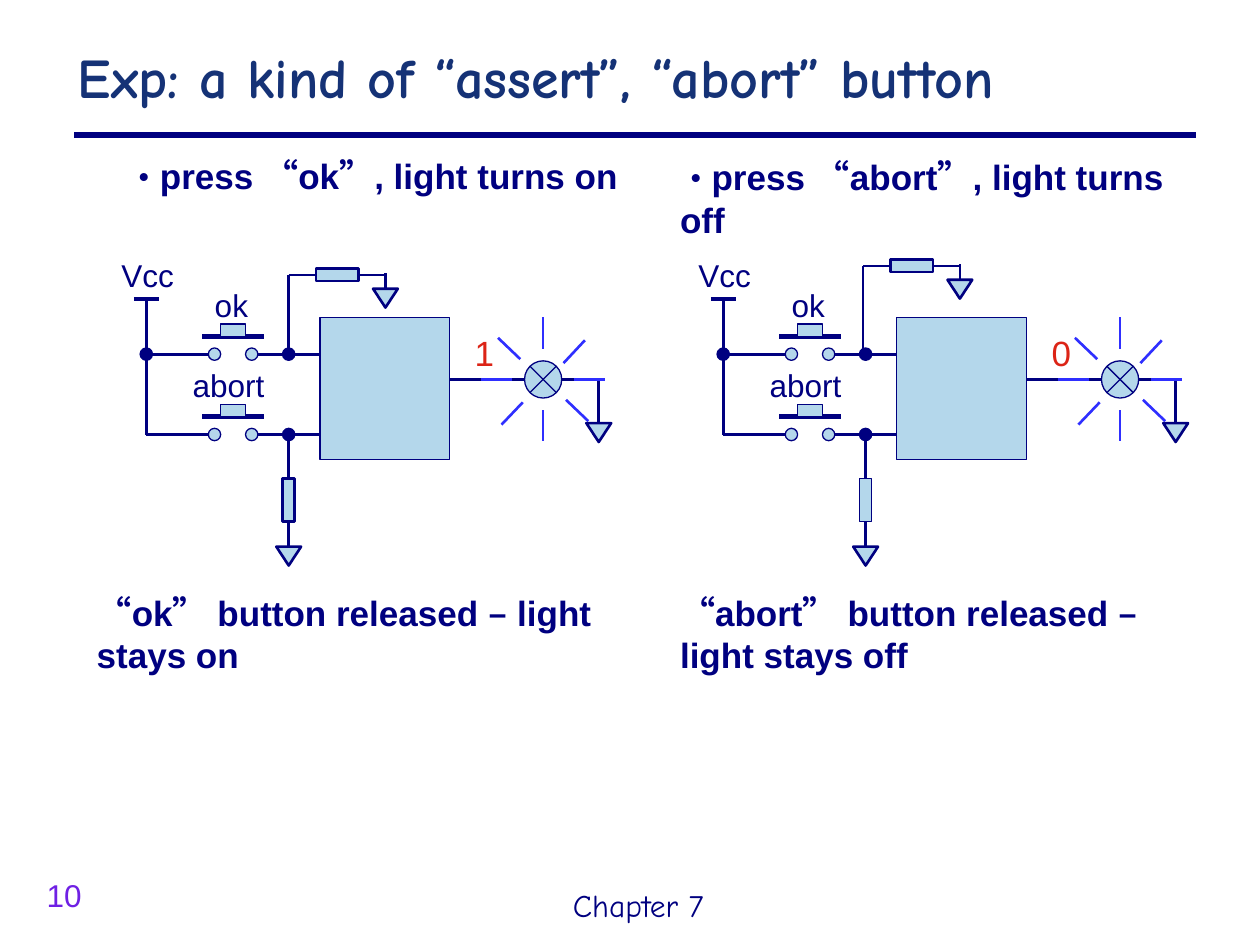
import itertools
import pptx
import pptx.util
import pptx.dml.color
import pptx.enum.shapes
import pptx.enum.text
import pptx.oxml.ns
import lxml.etree

Cm, Pt = pptx.util.Cm, pptx.util.Pt
KIND = pptx.enum.shapes.MSO_SHAPE
HUE = {"navy": "000080", "title": "153276", "pale": "B4D7EB",
       "ray": "2F2FFF", "red": "DC2416", "page": "6F20E4"}
WIDE = "·“”–"  # marks set in the wide font
WIDE_FONT = "Noto Sans CJK SC"

# Content: text, box (left, top, width, height) in cm
NOTES = [
    ("·press “ok”, light turns on", (2.34, 3, 10.38, 1.09)),
    ("·press “abort”, light turns off", (13.46, 3.02, 10.36, 1.96)),
    ("“ok” button released – light stays on", (1.7, 11.79, 11.13, 1.96)),
    ("“abort” button released – light stays off", (13.46, 11.79, 11.13, 1.96)),
]
# Per circuit: supply x, output, shift of the feedback loop, resistor edge
CIRCUITS = [
    (2.95, "1", (0, 0), 1.5),
    (14.58, "0", (-0.05, -0.18), 0.75),
]
# Buttons: label, row y, label width
BUTTONS = [("ok", 7.14, 1.24), ("abort", 8.76, 2.13)]
# Slanted rays, as offsets from the lamp
SLANTS = [(-0.46, -0.41, -0.91, -0.84), (0.46, 0.41, 0.91, 0.84),
          (0.41, -0.33, 0.84, -0.79), (-0.41, 0.46, -0.84, 0.91)]

deck = pptx.Presentation()
deck.slide_width, deck.slide_height = Cm(25.4), Cm(19.05)
slide = deck.slides.add_slide(deck.slide_layouts[6])


def color(name):
    return pptx.dml.color.RGBColor.from_string(HUE[name])


def write(text, box, size=18, font="Arial", hue="navy", bold=False,
          mixed=False, middle=False):
    frame = slide.shapes.add_textbox(*map(Cm, box)).text_frame
    frame.word_wrap = True
    if middle:
        frame.vertical_anchor = pptx.enum.text.MSO_ANCHOR.MIDDLE
    para = frame.paragraphs[0]
    if mixed:
        para.line_spacing = Pt(size * 1.2)
    parts = itertools.groupby(text, lambda c: mixed and c in WIDE)
    for wide, chars in parts:
        run = para.add_run()
        run.text = "".join(chars)
        run.font.name = WIDE_FONT if wide else font
        run.font.size = Pt(18 if run.text == "·" else size)
        run.font.bold = bold
        run.font.color.rgb = color(hue)


def line(x1, y1, x2, y2, hue="navy", width=1.5):
    link = slide.shapes.add_connector(
        pptx.enum.shapes.MSO_CONNECTOR.STRAIGHT, *map(Cm, (x1, y1, x2, y2)))
    link.line.color.rgb = color(hue)
    link.line.width = Pt(width)
    lxml.etree.SubElement(link._element.spPr, pptx.oxml.ns.qn("a:effectLst"))


def shape(kind, x, y, w, h, fill="pale", edge=0.75, turn=0):
    item = slide.shapes.add_shape(kind, *map(Cm, (x, y, w, h)))
    item.shadow.inherit = False
    item.fill.solid()
    item.fill.fore_color.rgb = color(fill)
    item.line.color.rgb = color("navy")
    item.line.width = Pt(edge)
    item.rotation = turn


def dot(x, y, fill="navy"):
    shape(KIND.OVAL, x - 0.125, y - 0.125, 0.25, 0.25, fill)


def ground(x, y):
    shape(KIND.ISOSCELES_TRIANGLE, x - 0.25, y, 0.5, 0.38, edge=1.5, turn=180)


def button(x, y, label, width):
    for side in (-0.375, 0.375):
        dot(x + side, y, "pale")
    line(x - 0.625, y - 0.36, x + 0.625, y - 0.36, width=3)
    shape(KIND.RECTANGLE, x - 0.25, y - 0.61, 0.5, 0.25)
    write(label, (x - width / 2, y - 1.5, width, 1.02))


def loop(x, y, low):
    end = x + 1.95
    line(x, low, x, y)
    line(x, y, end, y)
    shape(KIND.RECTANGLE, x + 0.55, y - 0.125, 0.86, 0.25, edge=1.5)
    line(end, y - 0.03, end, y + 0.28)
    ground(end, y + 0.28)


def lamp(x, y):
    shape(KIND.FLOWCHART_SUMMING_JUNCTION, x - 0.375, y - 0.375, 0.75, 0.75)
    for s in (-1, 1):
        line(x, y + s * 0.62, x, y + s * 1.25, "ray")
        line(x + s * 0.62, y, x + s * 1.25, y, "ray")
    for a, b, c, d in SLANTS:
        line(x + a, y + b, x + c, y + d, "ray")


def circuit(x, value, shift, edge):
    top, low = (row[1] for row in BUTTONS)
    node, chip, bulb, mid = x + 2.87, x + 3.5, x + 8, 7.65
    # Supply
    line(x, low, x, 6.02)
    line(x - 0.25, 6.02, x + 0.25, 6.02, width=2.25)
    write("Vcc", (x - 0.75, 5.03, 1.63, 1.02))
    # Pull-down resistor, controller and buttons
    line(node, low, node, 11.02)
    shape(KIND.RECTANGLE, node - 0.125, 9.65, 0.25, 0.86, edge=edge)
    ground(node, 11.02)
    shape(KIND.RECTANGLE, chip, 6.4, 2.62, 2.87)
    for label, y, width in BUTTONS:
        line(x, y, x + 1.25, y)
        line(x + 2.25, y, chip, y)
        button(x + 1.75, y, label, width)
        dot(node, y)
    dot(x, top)
    loop(node + shift[0], 5.54 + shift[1], top)
    # Output and lamp
    line(chip + 2.62, mid, bulb - 0.375, mid)
    line(bulb + 0.375, mid, x + 9.12, mid)
    line(x + 9.12, mid, x + 9.12, 8.53)
    ground(x + 9.12, 8.53)
    write(value, (x + 6.37, 6.55, 1.12, 1.09), size=20, hue="red")
    lamp(bulb, mid)


# Title, rule and footer
line(1.5, 2.72, 24.1, 2.72, width=3)
write("Chapter 7", (11.3, 17.73, 3.61, 1.02), font="Comic Neue")
write("10", (0.69, 17.53, 1.8, 1.02), hue="page")
write("Exp: a kind of “assert”, “abort” button", (1.32, 0.53, 23.37, 2.01),
      size=32, font="Comic Neue", hue="title", bold=True, middle=True)

# Circuits and notes
for item in CIRCUITS:
    circuit(*item)
for text, box in NOTES:
    write(text, box, size=20, bold=True, mixed=True)

deck.save("out.pptx")
